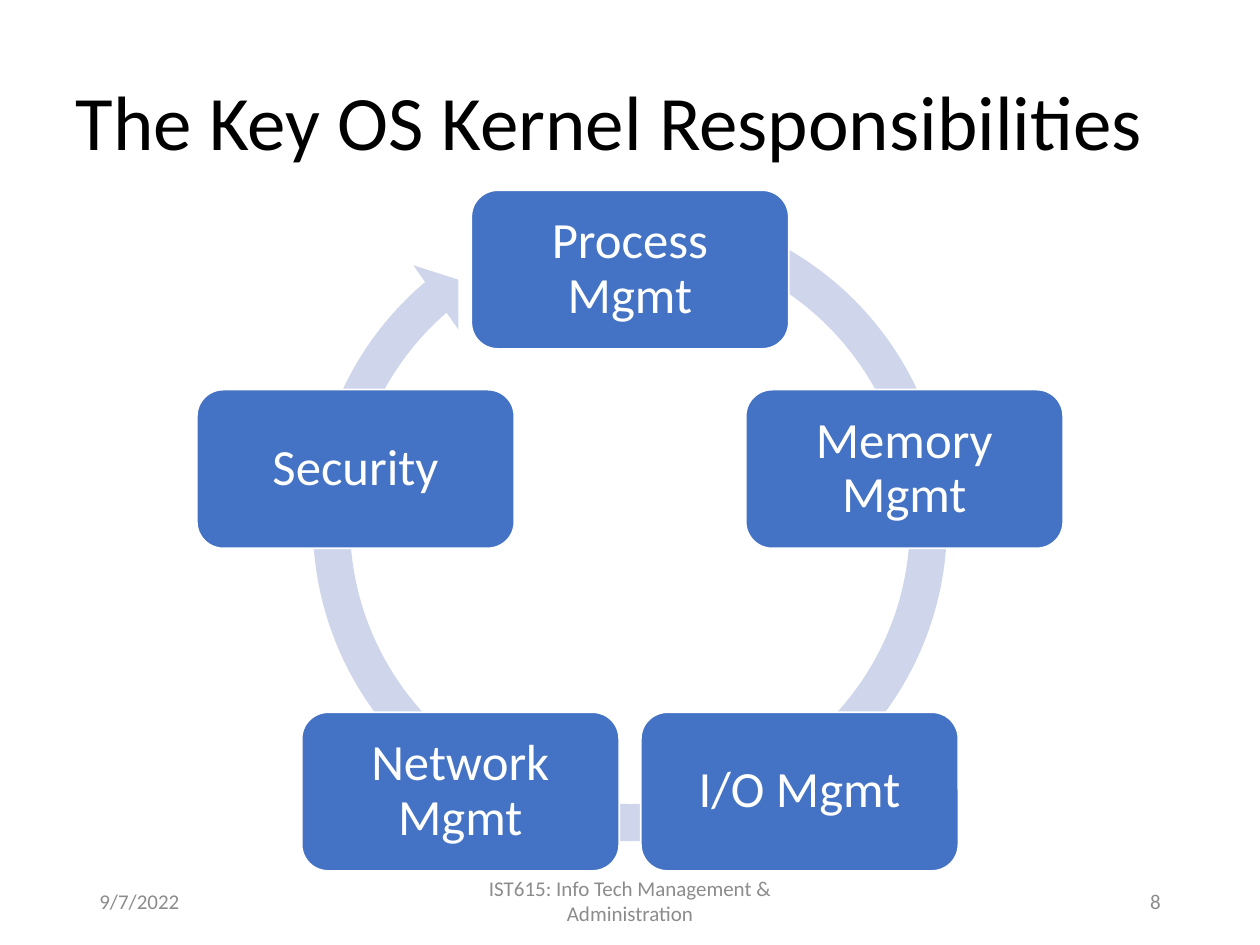
import math

from pptx import Presentation
from pptx.dml.color import RGBColor
from pptx.enum.shapes import MSO_SHAPE
from pptx.enum.text import MSO_ANCHOR, PP_ALIGN
from pptx.util import Inches, Pt

ROUNDED, RING = MSO_SHAPE.ROUNDED_RECTANGLE, MSO_SHAPE.CIRCULAR_ARROW
MIDDLE = MSO_ANCHOR.MIDDLE
LEFT, CENTER, RIGHT = PP_ALIGN.LEFT, PP_ALIGN.CENTER, PP_ALIGN.RIGHT

TITLE = "The Key OS Kernel Responsibilities"
DUTIES = ["Process Mgmt", "Memory Mgmt", "I/O Mgmt", "Network Mgmt", "Security"]
FOOTER = [  # text, left, width, alignment
    ("9/7/2022", 0.69, 2.25, LEFT),
    ("IST615: Info Tech Management & Administration", 3.31, 3.38, CENTER),
    ("8", 7.06, 2.25, RIGHT),
]

THEME = {
    "font": "Calibri",
    "title": (44, "000000"),
    "duty": (29, "FFFFFF"),
    "footer": (12, "8C8C8C"),
    "box": "4472C4",
    "outline": "FFFFFF",
    "ring": "CFD5EA",
}

CENTER_X, CENTER_Y, RADIUS = 5, 4.43, 2.29
BOX_W, BOX_H, BOX_INSET = 2.52, 1.26, 0.12
RING_TOP, RING_SIZE = 1.48, 5.36
RING_BAND, RING_HEAD = 0.055, 0.058
HEAD_SWEEP, RING_END, RING_START = 5.51, 229.43, 289.87  # degrees
ADJUSTMENT_PER_DEGREE = 0.6
FOOTER_TOP, FOOTER_H = 6.95, 0.4


def inches(*lengths):
    return [Inches(length) for length in lengths]


def rgb(name):
    return RGBColor.from_string(THEME[name])


def write(frame, text, role, align, spacing=None):
    size, color = THEME[role]
    frame.word_wrap = True
    frame.vertical_anchor = MIDDLE
    paragraph = frame.paragraphs[0]
    paragraph.text = text
    paragraph.alignment = align
    paragraph.line_spacing = spacing
    paragraph.font.name = THEME["font"]
    paragraph.font.size = Pt(size)
    paragraph.font.color.rgb = RGBColor.from_string(color)


def add_filled(slide, preset, place, fill):
    shape = slide.shapes.add_shape(preset, *inches(*place))
    shape.shadow.inherit = False
    shape.fill.solid()
    shape.fill.fore_color.rgb = rgb(fill)
    return shape


def add_title(slide):
    title = slide.shapes.title
    title.left, title.top, title.width, title.height = inches(0.5, 0.58, 9, 0.83)
    write(title.text_frame, TITLE, "title", LEFT, 0.9)


def add_ring(slide):
    place = (CENTER_X - RING_SIZE / 2, RING_TOP, RING_SIZE, RING_SIZE)
    ring = add_filled(slide, RING, place, "ring")
    ring.line.fill.background()
    angles = [a * ADJUSTMENT_PER_DEGREE for a in (HEAD_SWEEP, RING_END, RING_START)]
    for index, value in enumerate([RING_BAND, *angles, RING_HEAD]):
        ring.adjustments[index] = value


def add_duties(slide):
    """Space the boxes evenly clockwise, starting at the top."""
    for index, duty in enumerate(DUTIES):
        angle = 2 * math.pi * index / len(DUTIES)
        left = CENTER_X + RADIUS * math.sin(angle) - BOX_W / 2
        top = CENTER_Y - RADIUS * math.cos(angle) - BOX_H / 2
        box = add_filled(slide, ROUNDED, (left, top, BOX_W, BOX_H), "box")
        box.line.color.rgb = rgb("outline")
        box.line.width = Pt(1)
        frame = box.text_frame
        frame.margin_left = frame.margin_right = Inches(BOX_INSET)
        frame.margin_top = frame.margin_bottom = Inches(BOX_INSET)
        write(frame, duty, "duty", CENTER, 0.9)


def add_footer(slide):
    for text, left, width, align in FOOTER:
        place = inches(left, FOOTER_TOP, width, FOOTER_H)
        write(slide.shapes.add_textbox(*place).text_frame, text, "footer", align)


def main():
    deck = Presentation()
    deck.slide_width, deck.slide_height = inches(10, 7.5)
    slide = deck.slides.add_slide(deck.slide_layouts.get_by_name("Title Only"))
    add_title(slide)
    add_ring(slide)
    add_duties(slide)
    add_footer(slide)
    deck.save("out.pptx")


if __name__ == "__main__":
    main()
